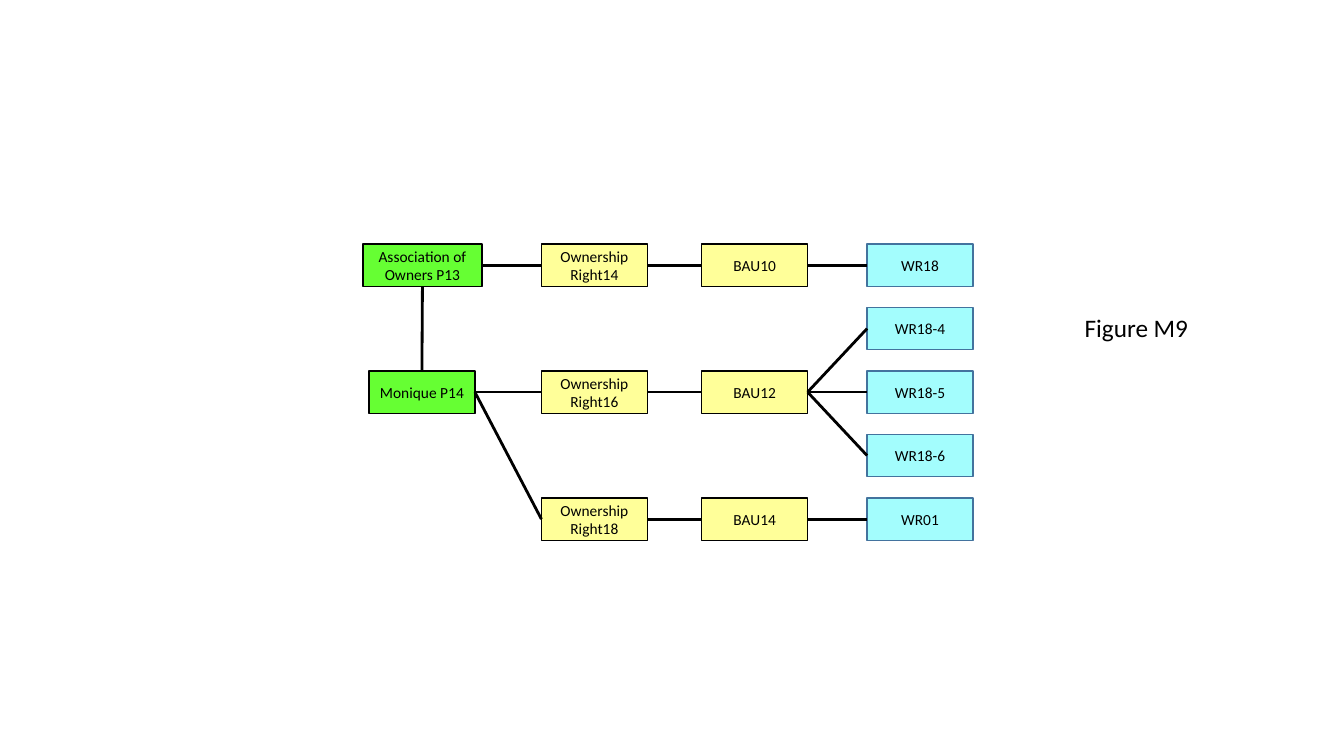
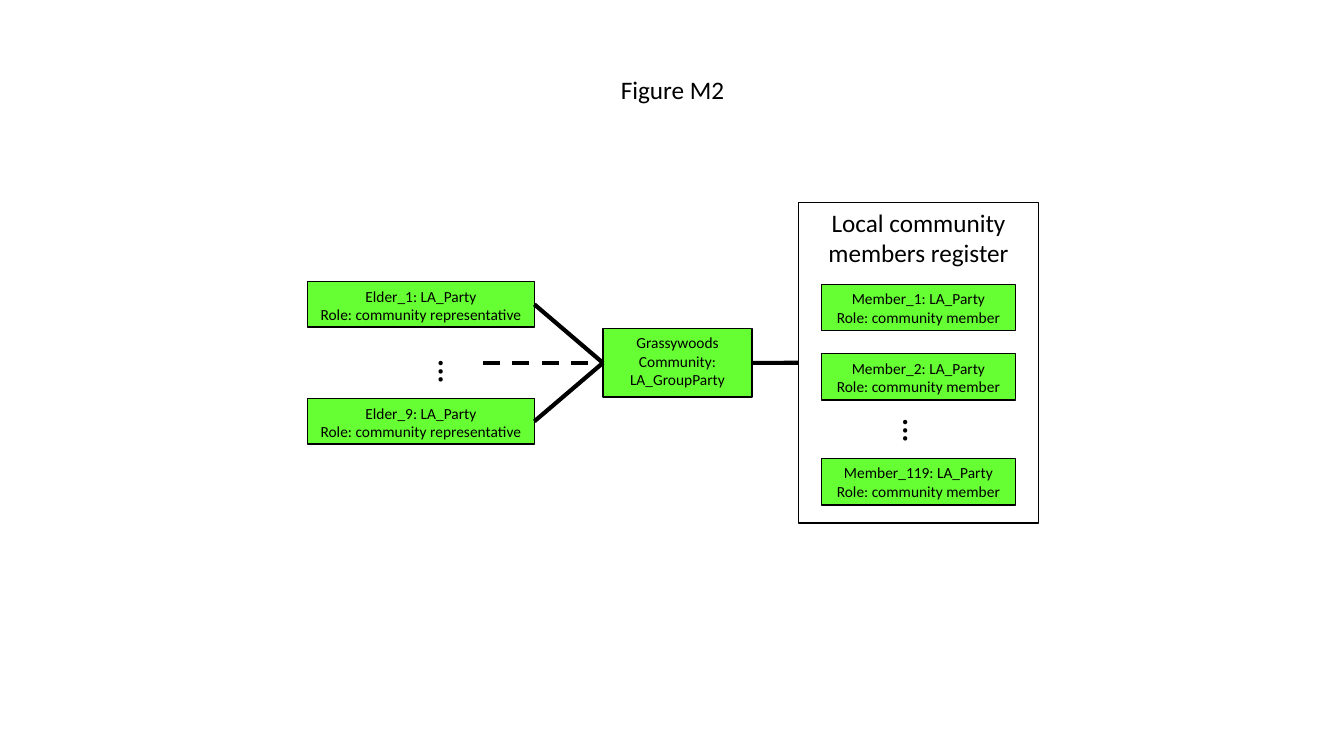
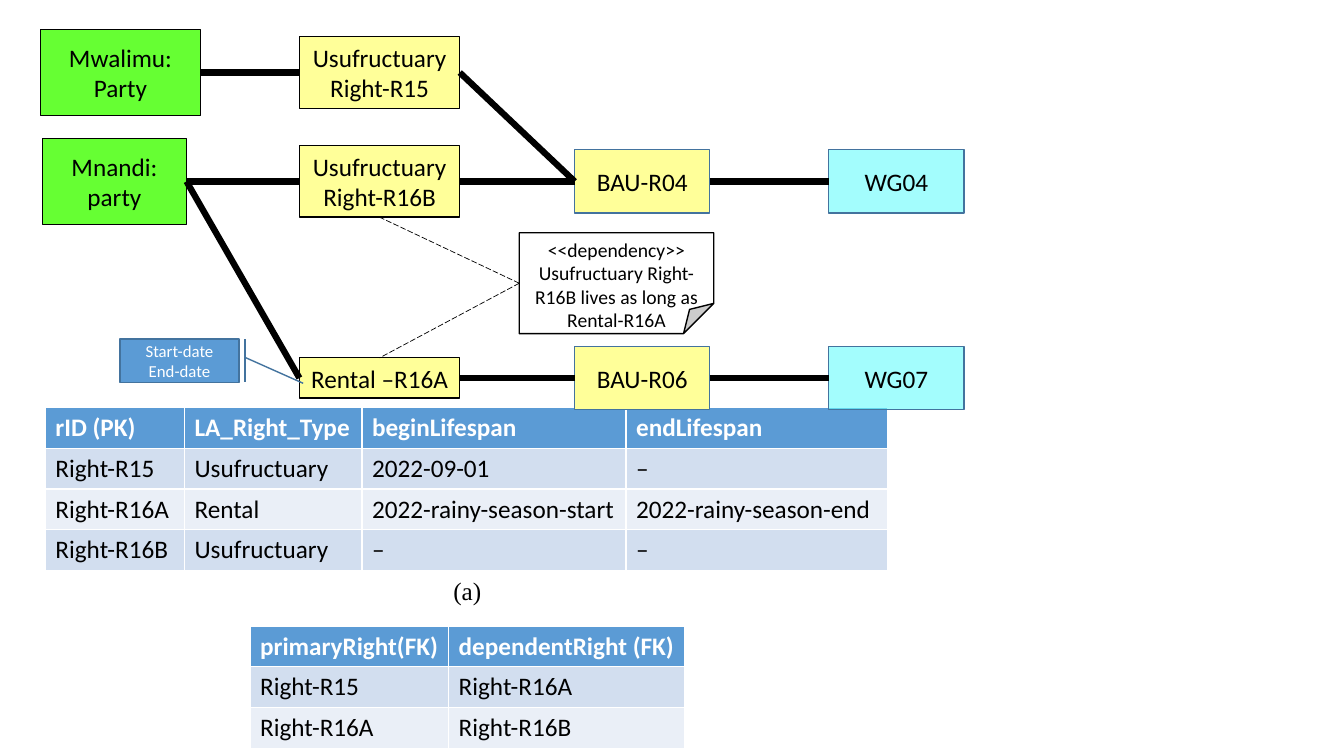
from lxml.etree import SubElement
from pptx import Presentation
from pptx.dml.color import RGBColor
from pptx.enum.dml import MSO_LINE_DASH_STYLE as Dash
from pptx.enum.shapes import MSO_CONNECTOR, MSO_SHAPE
from pptx.enum.text import MSO_ANCHOR, PP_ALIGN
from pptx.oxml.ns import qn
from pptx.util import Inches, Pt

COLORS = {
    "black": "000000", "white": "FFFFFF", "green": "66FF33", "yellow": "FFFF99",
    "cyan": "69FDFD", "blue": "5B9BD5", "edge": "43739E",
    "odd_row": "D2DEEF", "even_row": "EAEFF7",
}
FONT = "Calibri"
CYAN_ALPHA = 61000
TOP, LEFT, BOTTOM, RIGHT = range(4)

STYLES = {
    "party": ("green", "black", "black", MSO_SHAPE.RECTANGLE),
    "right": ("yellow", "black", "black", MSO_SHAPE.RECTANGLE),
    "unit": ("yellow", "edge", "black", MSO_SHAPE.RECTANGLE),
    "spatial": ("cyan", "edge", "black", MSO_SHAPE.RECTANGLE),
    "register": (None, "black", "black", MSO_SHAPE.RECTANGLE),
    "note": ("white", "black", "black", MSO_SHAPE.FOLDED_CORNER),
    "dates": ("blue", "edge", "white", MSO_SHAPE.LINE_CALLOUT_1_BORDER_AND_ACCENT_BAR),
}

OWNER_ROW_START, OWNER_ROW_STEP, OWNER_HEIGHT = 2.63, 0.63, 0.42
OWNER_COLUMNS = {"group": (3.6, 1.18), "person": (3.66, 1.05), "right": (5.37, 1.05),
                 "unit": (6.96, 1.05), "spatial": (8.6, 1.05)}
OWNER_BOXES = [
    ("Association of Owners P13", "party", "group", 0),
    ("Ownership Right14", "right", "right", 0),
    ("BAU10", "right", "unit", 0),
    ("WR18", "spatial", "spatial", 0),
    ("WR18-4", "spatial", "spatial", 1),
    ("Monique P14", "party", "person", 2),
    ("Ownership Right16", "right", "right", 2),
    ("BAU12", "right", "unit", 2),
    ("WR18-5", "spatial", "spatial", 2),
    ("WR18-6", "spatial", "spatial", 3),
    ("Ownership Right18", "right", "right", 4),
    ("BAU14", "right", "unit", 4),
    ("WR01", "spatial", "spatial", 4),
]
OWNER_LINKS = [
    ("Association of Owners P13", "Ownership Right14"), ("Ownership Right14", "BAU10"),
    ("BAU10", "WR18"), ("Monique P14", "Ownership Right16"),
    ("Monique P14", "Ownership Right18"), ("Ownership Right16", "BAU12"),
    ("BAU12", "WR18-4"), ("BAU12", "WR18-5"), ("BAU12", "WR18-6"),
    ("Ownership Right18", "BAU14"), ("BAU14", "WR01"),
]

COMMUNITY_MIDDLE, ELDER_OFFSET = 3.6, 0.58
REGISTER = "Local community members register"
COMMUNITY = "Grassywoods Community: LA_GroupParty"
ELDERS = [("Elder_1", -1), ("Elder_9", 1)]
MEMBERS = [("Member_1", 3.05), ("Member_2", 3.74), ("Member_119", 4.78)]
ELLIPSES = [(4.35, 3.46, 0.44, 0.26, MSO_ANCHOR.TOP),
            (8.78, 4.04, 0.67, 0.57, MSO_ANCHOR.MIDDLE)]

USUFRUCT_ROWS = {"upper": 0.72, "middle": 1.8, "lower": 3.75}
USUFRUCT_BOXES = [
    ("Mwalimu: Party", "party", 0.4, "upper", 1.59, 0.85),
    ("Mnandi: party", "party", 0.42, "middle", 1.43, 0.85),
    ("Usufructuary Right-R15", "right", 2.97, "upper", 1.59, 0.71),
    ("Usufructuary Right-R16B", "right", 2.97, "middle", 1.59, 0.71),
    ("Rental –R16A", "right", 2.97, "lower", 1.59, 0.4),
    ("BAU-R04", "unit", 5.7, "middle", 1.34, 0.63),
    ("BAU-R06", "unit", 5.7, "lower", 1.34, 0.63),
    ("WG04", "spatial", 8.22, "middle", 1.34, 0.63),
    ("WG07", "spatial", 8.22, "lower", 1.34, 0.63),
]
USUFRUCT_LINKS = [
    ("Mwalimu: Party", "Usufructuary Right-R15"),
    ("Mnandi: party", "Usufructuary Right-R16B"), ("Mnandi: party", "Rental –R16A"),
    ("Usufructuary Right-R15", "BAU-R04"), ("Usufructuary Right-R16B", "BAU-R04"),
    ("BAU-R04", "WG04"), ("Rental –R16A", "BAU-R06"), ("BAU-R06", "WG07"),
]
DEPENDENCY = "<<dependency>>\nUsufructuary Right-R16B lives as long as Rental-R16A"
DEPENDENCY_ENDS = [("Usufructuary Right-R16B", BOTTOM), ("Rental –R16A", TOP)]
CALLOUT_POINTS = {"adj1": 0.42, "adj2": 1.05, "adj3": 1.02, "adj4": 1.54}
RIGHTS_TABLE = [
    ("rID (PK)", "LA_Right_Type", "beginLifespan", "endLifespan"),
    ("Right-R15", "Usufructuary", "2022-09-01", "–"),
    ("Right-R16A", "Rental", "2022-rainy-season-start", "2022-rainy-season-end"),
    ("Right-R16B", "Usufructuary", "–", "–"),
]
DEPENDENCY_TABLE = [
    ("primaryRight(FK)", "dependentRight (FK)"),
    ("Right-R15", "Right-R16A"),
    ("Right-R16A", "Right-R16B"),
]


def rgb(name):
    return RGBColor.from_string(COLORS[name])


def format_text(text_frame, size, color="black", font=FONT, align=None, bold=False):
    for paragraph in text_frame.paragraphs:
        paragraph.alignment = align
        for run in paragraph.runs:
            run.font.name, run.font.size, run.font.bold = font, Pt(size), bold
            run.font.color.rgb = rgb(color)


def add_box(slide, text, style, left, middle, width, height, size, anchor=MSO_ANCHOR.MIDDLE):
    fill, line, ink, preset = STYLES[style]
    shape = slide.shapes.add_shape(preset, Inches(left), Inches(middle - height / 2),
                                   Inches(width), Inches(height))
    shape.shadow.inherit = False
    if fill:
        shape.fill.solid()
        shape.fill.fore_color.rgb = rgb(fill)
    else:
        shape.fill.background()
    if fill == "cyan":
        color = shape._element.spPr.find(qn("a:solidFill"))[0]
        SubElement(color, qn("a:alpha")).set("val", str(CYAN_ALPHA))
    shape.line.color.rgb = rgb(line)
    shape.line.width = Pt(1)
    text_frame = shape.text_frame
    text_frame.text = text
    text_frame.word_wrap = True
    text_frame.vertical_anchor = anchor
    text_frame.margin_left = text_frame.margin_right = Inches(0.05)
    format_text(text_frame, size, ink, align=PP_ALIGN.CENTER)
    return shape


def set_adjustments(shape, values):
    geometry = shape._element.spPr.find(qn("a:prstGeom"))
    for child in list(geometry):
        geometry.remove(child)
    guides = SubElement(geometry, qn("a:avLst"))
    for name, value in values.items():
        guide = SubElement(guides, qn("a:gd"))
        guide.set("name", name)
        guide.set("fmla", f"val {round(value * 100000)}")


def add_label(slide, text, left, top, width, height, size=18, font=FONT, align=None):
    label = slide.shapes.add_textbox(Inches(left), Inches(top), Inches(width), Inches(height))
    label.text_frame.text = text
    label.text_frame.word_wrap = True
    format_text(label.text_frame, size, font=font, align=align)
    return label


def add_link(slide, begin, end, width, begin_side=RIGHT, end_side=LEFT, dash=None):
    connector = slide.shapes.add_connector(MSO_CONNECTOR.STRAIGHT, 0, 0, 0, 0)
    if isinstance(begin, tuple):
        connector.begin_x, connector.begin_y = (Inches(value) for value in begin)
    else:
        connector.begin_connect(begin, begin_side)
    connector.end_connect(end, end_side)
    connector.line.color.rgb = rgb("black")
    connector.line.width = Pt(width)
    if dash:
        connector.line.dash_style = dash
    SubElement(connector._element.spPr, qn("a:effectLst"))


def add_grid(slide, rows, left, top, widths):
    row_height = 0.4
    table = slide.shapes.add_table(len(rows), len(widths), Inches(left), Inches(top),
                                   Inches(sum(widths)), Inches(row_height * len(rows))).table
    for column, width in zip(table.columns, widths):
        column.width = Inches(width)
    for row_index, row in enumerate(rows):
        header = row_index == 0
        fill = "blue" if header else "odd_row" if row_index % 2 else "even_row"
        for column_index, text in enumerate(row):
            cell = table.cell(row_index, column_index)
            cell.text = text
            cell.fill.solid()
            cell.fill.fore_color.rgb = rgb(fill)
            format_text(cell.text_frame, 18, "white" if header else "black", bold=header)


def build_owners(slide):
    boxes = {}
    for text, style, column, row in OWNER_BOXES:
        left, width = OWNER_COLUMNS[column]
        middle = OWNER_ROW_START + row * OWNER_ROW_STEP
        boxes[text] = add_box(slide, text, style, left, middle, width, OWNER_HEIGHT, 11)
    for begin, end in OWNER_LINKS:
        add_link(slide, boxes[begin], boxes[end], 2)
    add_link(slide, boxes["Monique P14"], boxes["Association of Owners P13"], 2, TOP, BOTTOM)
    add_label(slide, "Figure M9", 10.66, 3.05, 1.76, 0.4)


def build_community(slide):
    top = MSO_ANCHOR.TOP
    register = add_box(slide, REGISTER, "register", 7.92, COMMUNITY_MIDDLE, 2.38, 3.18, 18, top)
    community = add_box(slide, COMMUNITY, "party", 5.98, COMMUNITY_MIDDLE, 1.48, 0.68, 11, top)
    for name, middle in MEMBERS:
        add_box(slide, f"{name}: LA_Party\nRole: community member", "party",
                8.15, middle, 1.92, 0.46, 11, top)
    for name, direction in ELDERS:
        elder = add_box(slide, f"{name}: LA_Party\nRole: community representative", "party",
                        3.05, COMMUNITY_MIDDLE + direction * ELDER_OFFSET, 2.25, 0.45, 11, top)
        add_link(slide, elder, community, 3)
    add_link(slide, (4.79, COMMUNITY_MIDDLE), community, 3, dash=Dash.DASH)
    add_link(slide, community, register, 3)
    for left, upper, width, height, anchor in ELLIPSES:
        dots = add_label(slide, "…", left, upper, width, height, 28, "Roboto")
        dots.text_frame.vertical_anchor = anchor
        dots._element.txBody.bodyPr.set("vert", "vert")
    add_label(slide, "Figure M2", 5.79, 0.69, 1.76, 0.4, align=PP_ALIGN.CENTER)


def build_usufruct(slide):
    add_grid(slide, RIGHTS_TABLE, 0.45, 4.04, (1.38, 1.76, 2.62, 2.59))
    boxes = {}
    for text, style, left, row, width, height in USUFRUCT_BOXES:
        boxes[text] = add_box(slide, text, style, left, USUFRUCT_ROWS[row], width, height, 18)
    for begin, end in USUFRUCT_LINKS:
        add_link(slide, boxes[begin], boxes[end], 4.5)
    note = add_box(slide, DEPENDENCY, "note", 5.15, 2.81, 1.93, 1, 14, MSO_ANCHOR.TOP)
    set_adjustments(note, {"adj": 0.3})
    for name, side in DEPENDENCY_ENDS:
        add_link(slide, note, boxes[name], 0.5, LEFT, side, Dash.LONG_DASH)
    dates = add_box(slide, "Start-date\nEnd-date", "dates", 1.19, 3.58, 1.18, 0.43, 12)
    set_adjustments(dates, CALLOUT_POINTS)
    add_grid(slide, DEPENDENCY_TABLE, 2.48, 6.21, (1.97, 2.34))
    add_label(slide, "(a)", 0.72, 5.66, 7.83, 0.4, font="Times New Roman", align=PP_ALIGN.CENTER)


def main():
    presentation = Presentation()
    presentation.slide_width, presentation.slide_height = Inches(13.33), Inches(7.5)
    blank = presentation.slide_layouts[6]
    for build in (build_owners, build_community, build_usufruct):
        build(presentation.slides.add_slide(blank))
    presentation.save("out.pptx")


if __name__ == "__main__":
    main()
